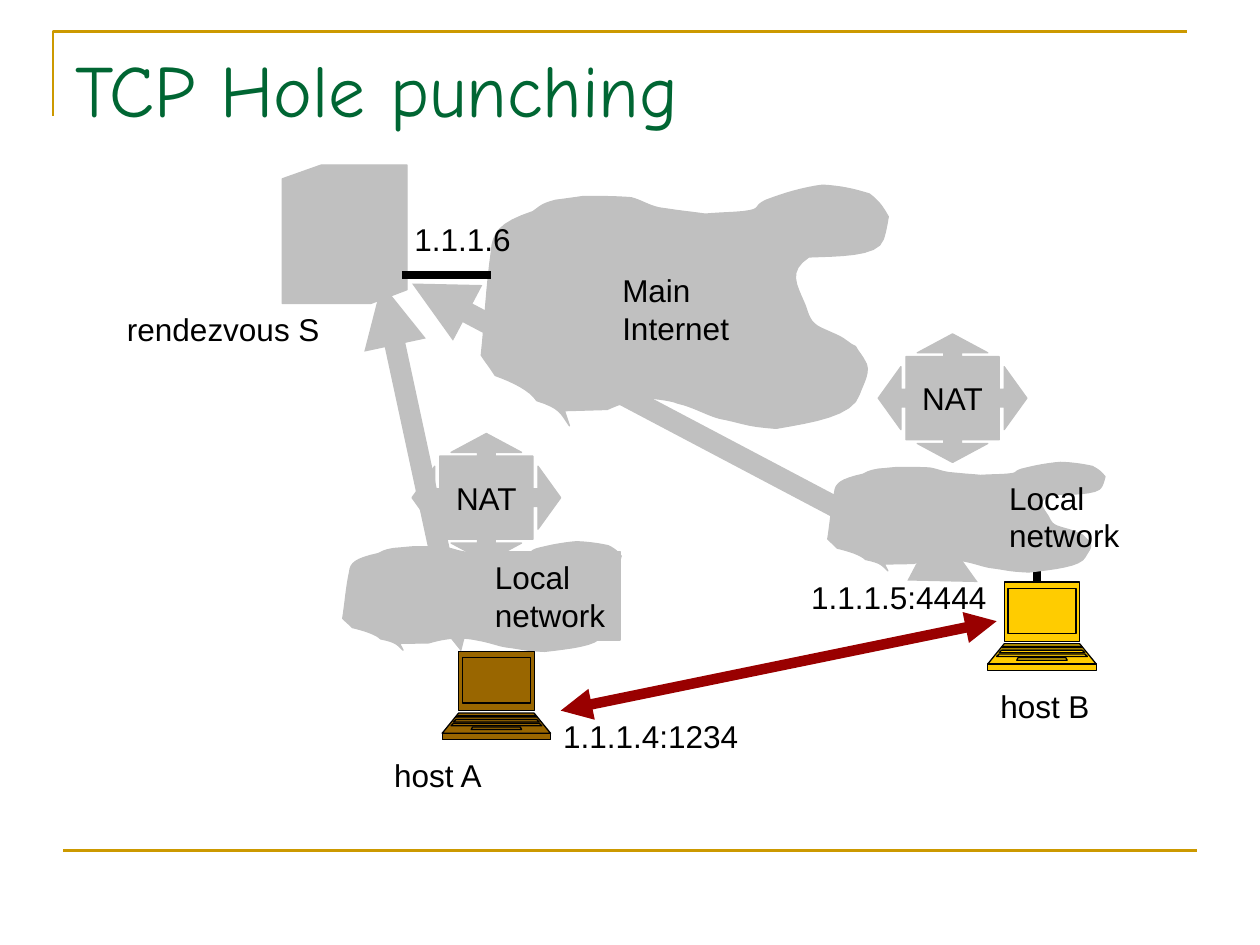
"""Draw the TCP hole punching slide: two hosts behind NATs and a rendezvous server."""
from dataclasses import dataclass

from lxml import etree as et
from pptx import Presentation
from pptx import util as u
from pptx.dml.color import RGBColor
from pptx.enum import shapes, text
from pptx.oxml import ns

PX = 9144
STEPS = 8
HUES = {
    "gray": "C0C0C0", "black": "000000", "gold": "CC9900", "green": "006633",
    "yellow": "FFCC00", "brown": "996600", "red": "990000",
}
MAIN = (382, 147, 323, 193)
START = (452, 338)
CURVES = [
    (445, 328, 445, 324, 426, 318), (421, 310, 407, 303, 393, 298),
    (390, 293, 386, 288, 382, 282), (385, 255, 386, 228, 390, 200),
    (391, 185, 396, 177, 423, 168), (430, 163, 430, 162, 441, 159),
    (449, 158, 463, 156, 463, 156), (476, 156, 489, 156, 501, 157),
    (509, 159, 514, 163, 523, 165), (550, 169, 538, 167, 560, 170),
    (570, 169, 580, 169, 590, 168), (606, 166, 597, 164, 608, 159),
    (621, 154, 637, 149, 653, 147), (668, 148, 677, 150, 690, 154),
    (698, 160, 701, 165, 705, 172), (704, 178, 703, 184, 701, 190),
    (697, 204, 663, 203, 642, 204), (625, 215, 632, 226, 638, 240),
    (641, 246, 641, 254, 649, 259), (656, 263, 666, 266, 671, 270),
    (674, 272, 676, 274, 679, 275), (681, 279, 684, 282, 686, 286),
    (692, 294, 685, 304, 682, 313), (677, 330, 645, 335, 616, 340),
    (590, 338, 592, 336, 571, 332), (560, 329, 551, 323, 538, 320),
    (531, 317, 515, 316, 515, 316), (500, 318, 493, 320, 482, 325),
]
TIP = (448, 326)
NAT = [(0, -51), (28, -36), (7, -36), (7, -33), (37, -33), (37, -7), (41, -7), (41, -25), (59, 0)]
SERVER = [(224, 142), (255, 131), (323, 131), (323, 230), (294, 241), (224, 241)]
LAPTOP = [
    (30, 30, 0, 47), (30, 43, 49, 65), (43, 43, 65, 70), (27, 27, 5, 41),
    (30, 32, 51, 52), (19, 20, 60, 62), (32, 34, 54, 56), (34, 36, 57, 59),
]


@dataclass
class Label:
    words: str
    box: tuple
    wrap: bool = False


@dataclass
class Link:
    start: tuple
    end: tuple
    hue: str
    width: float
    heads: bool = False


LABELS = [
    Label("Main\nInternet", (484, 210, 105, 70)),
    Label("Local\nnetwork", (791, 375, 109, 70)),
    Label("rendezvous S", (91, 241, 173, 40)),
    Label("host A", (303, 595, 91, 40)),
    Label("host B", (784, 540, 91, 40)),
    Label("1.1.1.4:1234", (437, 564, 181, 40), True),
    Label("1.1.1.5:4444", (634, 454, 173, 40), True),
    Label("1.1.1.6", (319, 170, 110, 40), True),
]
WIRES = [
    Link((50, 675), (950, 675), "gold", 1.5),
    Link((319, 218), (390, 218), "black", 4.5),
    Link((823, 446), (823, 462), "black", 4.5),
]
FLOWS = [
    Link((366, 517), (303, 225), "gray", 12, True),
    Link((776, 462), (327, 225), "gray", 12, True),
    Link((445, 564), (791, 493), "red", 6, True),
]


def emu(nums) -> list:
    return [round(n * PX) for n in nums]


def rgb(hue: str) -> RGBColor:
    return RGBColor.from_string(HUES[hue])


def write(shape, words: str, size=18, font="Arial", hue="black",
          align=text.PP_ALIGN.LEFT, anchor=text.MSO_ANCHOR.TOP, wrap=False, grow=True) -> None:
    frame = shape.text_frame
    frame.text = words
    frame.word_wrap = wrap
    frame.vertical_anchor = anchor
    auto = text.MSO_AUTO_SIZE
    frame.auto_size = auto.SHAPE_TO_FIT_TEXT if grow else auto.NONE
    for para in frame.paragraphs:
        para.alignment = align
        para.font.size = u.Pt(size)
        para.font.name = font
        para.font.color.rgb = rgb(hue)


def paint(shape, fill, line: str, width=0.75) -> None:
    shape.shadow.inherit = False
    if fill:
        shape.fill.solid()
        shape.fill.fore_color.rgb = rgb(fill)
    else:
        shape.fill.background()
    shape.line.color.rgb = rgb(line)
    shape.line.width = u.Pt(width)


def outline(tree, pts: list, fill, line: str, width=0.75, close=True):
    first, *rest = [emu(p) for p in pts]
    pen = tree.build_freeform(*first, scale=1.0)
    pen.add_line_segments(rest, close=close)
    shape = pen.convert_to_shape()
    paint(shape, fill, line, width)
    return shape


def trace() -> list:
    pts = [START]
    for x1, y1, x2, y2, x3, y3 in CURVES:
        x0, y0 = pts[-1]
        for i in range(1, STEPS + 1):
            t = i / STEPS
            s = 1 - t
            a, b, c, d = s ** 3, 3 * s * s * t, 3 * s * t * t, t ** 3
            pts.append((a * x0 + b * x1 + c * x2 + d * x3, a * y0 + b * y1 + c * y2 + d * y3))
    return pts + [TIP]


def cloud(tree, box: tuple) -> None:
    left, top, wide, high = box
    x0, y0, w0, h0 = MAIN
    pts = [(left + (x - x0) * wide / w0, top + (y - y0) * high / h0) for x, y in trace()]
    outline(tree, pts, "gray", "gray")


def nat(tree, cx: int, cy: int) -> None:
    right = NAT + [(x, -y) for x, y in NAT[-2::-1]]
    ring = right + [(-x, y) for x, y in right[-2:0:-1]]
    shape = outline(tree, [(cx + x, cy + y) for x, y in ring], "gray", "gray")
    write(shape, "NAT", align=text.PP_ALIGN.CENTER, anchor=text.MSO_ANCHOR.MIDDLE, grow=False)


def laptop(tree, cx: int, top: int, hue: str) -> None:
    group = tree.add_group_shape()
    for a, b, y0, y1 in LAPTOP:
        pts = [(cx - a, top + y0), (cx + a, top + y0), (cx + b, top + y1), (cx - b, top + y1)]
        outline(group.shapes, pts, hue, "black")


def link(tree, item: Link) -> None:
    line = tree.add_connector(shapes.MSO_CONNECTOR.STRAIGHT, *emu(item.start + item.end))
    line.line.color.rgb = rgb(item.hue)
    line.line.width = u.Pt(item.width)
    props = line.element.spPr
    if item.heads:
        for tag in ("a:headEnd", "a:tailEnd"):
            et.SubElement(props.find(ns.qn("a:ln")), ns.qn(tag), type="triangle")
    et.SubElement(props, ns.qn("a:effectLst"))


def main() -> None:
    deck = Presentation()
    deck.slide_width, deck.slide_height = emu((1000, 750))
    tree = deck.slides.add_slide(deck.slide_layouts[5]).shapes
    title = tree.title
    title.left, title.top, title.width, title.height = emu((50, 30, 900, 125))
    write(title, "TCP Hole punching", size=42, font="Comic Neue", hue="green", wrap=True, grow=False)
    outline(tree, [(42, 92), (42, 25), (942, 25)], None, "gold", 1.5, close=False)
    cloud(tree, MAIN)
    nat(tree, 386, 395)
    outline(tree, SERVER, "gray", "gray")
    for item in WIRES:
        link(tree, item)
    cloud(tree, (272, 430, 221, 87))
    plate = tree.add_shape(shapes.MSO_SHAPE.RECTANGLE, *emu((383, 438, 109, 70)))
    paint(plate, "gray", "gray")
    write(plate, "Local\nnetwork")
    nat(tree, 756, 316)
    cloud(tree, (657, 367, 220, 87))
    laptop(tree, 827, 462, "yellow")
    laptop(tree, 394, 517, "brown")
    for item in LABELS:
        write(tree.add_textbox(*emu(item.box)), item.words, wrap=item.wrap)
    for item in FLOWS:
        link(tree, item)
    deck.save("out.pptx")


if __name__ == "__main__":
    main()
